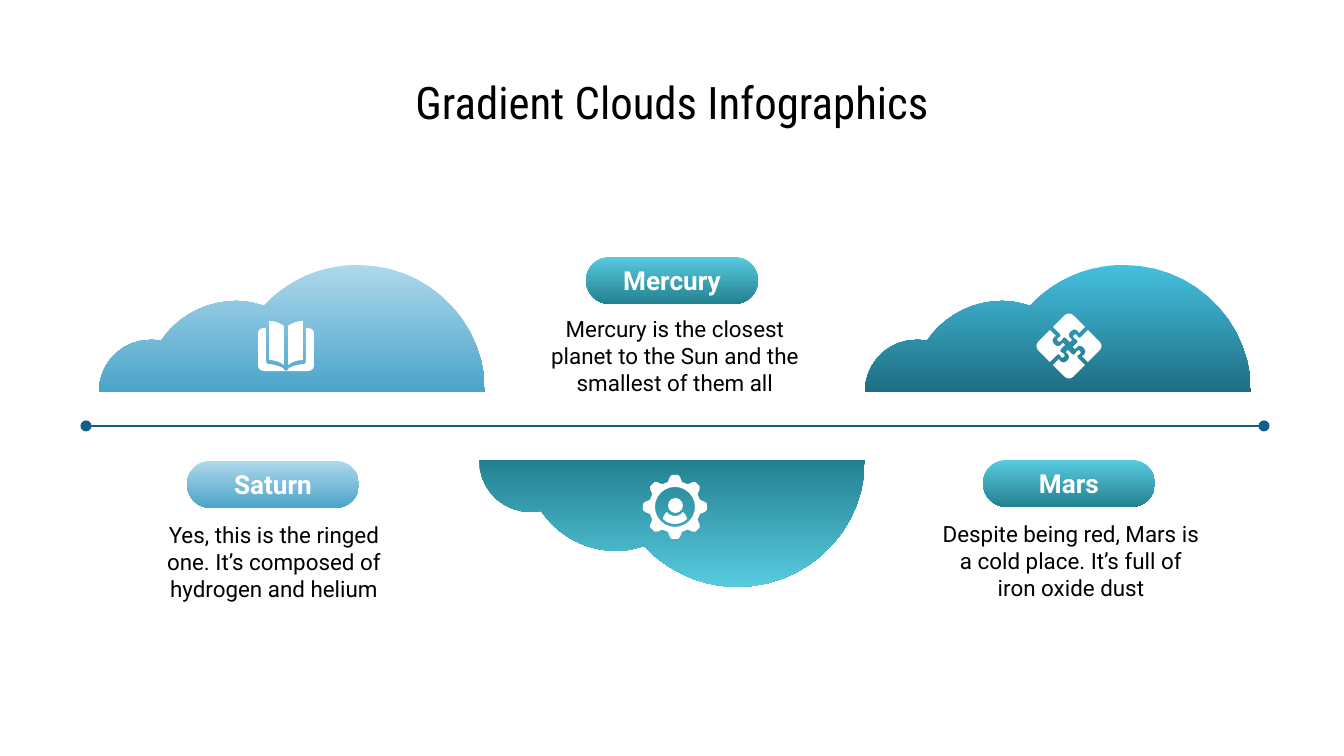
from math import cos, dist, pi, sin, sqrt
from lxml.etree import SubElement
from pptx import Presentation
from pptx.dml.color import RGBColor
from pptx.enum.shapes import MSO_CONNECTOR, MSO_SHAPE
from pptx.enum.text import MSO_ANCHOR, PP_ALIGN
from pptx.oxml.ns import qn
from pptx.util import Pt

PX = 914400 / 134.4
FINE = 100
COLORS = {
    "black": "000000", "white": "FFFFFF", "navy": "125E8D",
    "pale": "ADD8EB", "sky": "4BA4CA", "aqua": "58CBDF",
    "teal": "238191", "cyan": "45BFDE", "deep": "1E6E83",
}
RGB = {name: RGBColor.from_string(code) for name, code in COLORS.items()}

deck = Presentation()
deck.slide_width = round(1344 * PX)
deck.slide_height = round(756 * PX)
slide = deck.slides.add_slide(deck.slide_layouts[6])
shapes = slide.shapes


def plot(steps):
    dots = [steps[0]]
    for step in steps[1:]:
        if len(step) == 2:
            dots.append(step)
            continue
        ax, ay = dots[-1]
        bx, by, cx, cy, dx, dy = step
        count = max(1, round(sqrt(dist((ax, ay), (dx, dy)))))
        for i in range(1, count + 1):
            t = i / count
            u = 1 - t
            dots.append((
                u**3 * ax + 3 * u * u * t * bx + 3 * u * t * t * cx + t**3 * dx,
                u**3 * ay + 3 * u * u * t * by + 3 * u * t * t * cy + t**3 * dy,
            ))
    return dots


def paint(shape, *names):
    shape.shadow.inherit = False
    shape.line.fill.background()
    if len(names) == 1:
        shape.fill.solid()
        shape.fill.fore_color.rgb = RGB[names[0]]
        return
    shape.fill.gradient()
    shape.fill.gradient_angle = 270
    for stop, name in zip(shape.fill.gradient_stops, names):
        stop.color.rgb = RGB[name]


line = shapes.add_connector(
    MSO_CONNECTOR.STRAIGHT, *[round(n * PX) for n in (86, 426, 1264, 426)])
line.line.color.rgb = RGB["navy"]
line.line.width = Pt(1.5)
for end in ("a:headEnd", "a:tailEnd"):
    SubElement(line.line._get_or_add_ln(), qn(end), type="oval")
SubElement(line._element.spPr, qn("a:effectLst"))

cloud = plot([
    (258, 0), (222, 0, 188, 16, 165, 41), (156, 38, 147, 36, 137, 36),
    (106, 36, 78, 52, 62, 76), (58, 75, 55, 75, 51, 75),
    (23, 75, 0, 98, 0, 127), (386, 127), (386, 57, 329, 0, 258, 0)])
page = plot([
    (-17, 0), (-17, 39), (-11, 39, -6, 41, -2, 44), (-2, 5),
    (-6, 2, -11, 0, -17, 0)])
cover = plot([
    (-22, 7), (-25, 7, -28, 9, -28, 12), (-28, 45),
    (-28, 48, -25, 50, -22, 50), (0, 50), (-1, 50, -2, 49, -3, 47),
    (-7, 45, -13, 43, -18, 43), (-19, 43, -20, 42, -20, 40), (-20, 7)])
bust = plot([
    (-8, 5), (-10, 7, -12, 9, -12, 12), (-9, 15, -5, 17, 0, 17),
    (5, 17, 9, 15, 12, 12), (12, 9, 10, 7, 8, 5),
    (6, 8, 3, 9, 0, 9), (-3, 9, -6, 8, -8, 5)])
piece = plot([
    (-19, -16), (-31, -4), (-33, -2, -33, 2, -31, 4), (-19, 16), (-12, 9),
    (-11, 8, -10, 8, -9, 9), (-8, 11), (-7, 12, -6, 12, -5, 11),
    (-4, 10, -4, 9, -5, 8), (-8, 6), (-9, 5, -9, 4, -8, 3), (-4, -1),
    (-6, -3), (-7, -2), (-9, 1, -13, 1, -15, -2),
    (-17, -4, -17, -7, -15, -9), (-13, -10)])
tooth = [(-7, -25), (-5, -30), (-3, -32), (3, -32), (5, -30), (7, -25)]
gear = []
for i in range(8):
    c, s = cos(i * pi / 4), sin(i * pi / 4)
    gear += [(x * c - y * s, x * s + y * c) for x, y in tooth]
hole = [(20 * cos(i * pi / 12), -20 * sin(i * pi / 12)) for i in range(24)]

forms = [
    (99, 265, ("pale", "sky"), [cloud]),
    (479, 460, ("teal", "aqua"), [[(x, 127 - y) for x, y in cloud]]),
    (865, 265, ("cyan", "deep"), [cloud]),
    (675, 507, ("white",), [gear, hole]),
    (675, 507, ("white",), [bust]),
]
for half in (cover, page):
    for side in (1, -1):
        forms.append((286, 321, ("white",), [[(x * side, y) for x, y in half]]))
for turn in range(4):
    forms.append((1069, 346, ("white",), [piece]))
    piece = [(-y, x) for x, y in piece]

for left, top, fill, rings in forms:
    pen = None
    for ring in rings:
        dots = [((left + x) * FINE, (top + y) * FINE) for x, y in ring]
        if pen is None:
            pen = shapes.build_freeform(*dots[0], scale=PX / FINE)
        else:
            pen.move_to(*dots[0])
        pen.add_line_segments(dots[1:], close=True)
    paint(pen.convert_to_shape(), *fill)

head = shapes.add_shape(
    MSO_SHAPE.OVAL, *[round(n * PX) for n in (668, 498, 15, 15)])
paint(head, "white")

texts = [("Gradient Clouds Infographics", (67, 59, 1210, 85),
          24, "Roboto Condensed", "black", False)]
cards = [
    ("Saturn", "Yes, this is the ringed one. It’s composed of hydrogen and helium",
     187, 461, 132, 515, ("pale", "sky")),
    ("Mercury", "Mercury is the closest planet to the Sun and the smallest of them all",
     586, 257, 533, 309, ("aqua", "teal")),
    ("Mars", "Despite being red, Mars is a cold place. It’s full of iron oxide dust",
     983, 460, 929, 514, ("aqua", "teal")),
]
for name, note, x, y, left, top, fill in cards:
    pill = shapes.add_shape(
        MSO_SHAPE.ROUNDED_RECTANGLE, *[round(n * PX) for n in (x, y, 172, 47)])
    pill.adjustments[0] = 0.5
    paint(pill, *fill)
    texts.append((name, (x + 11, y, 150, 47), 14, "Roboto", "white", True))
    texts.append((note, (left, top, 284, 93), 12, "Roboto", "black", False))

for words, area, size, face, color, bold in texts:
    frame = shapes.add_textbox(*[round(n * PX) for n in area]).text_frame
    frame.word_wrap = True
    frame.vertical_anchor = MSO_ANCHOR.MIDDLE
    frame.margin_left = frame.margin_right = round(13 * PX)
    frame.margin_top = frame.margin_bottom = round(13 * PX)
    para = frame.paragraphs[0]
    para.text = words
    para.alignment = PP_ALIGN.CENTER
    para.font.size = Pt(size)
    para.font.name = face
    para.font.bold = bold
    para.font.color.rgb = RGB[color]

deck.save("out.pptx")
